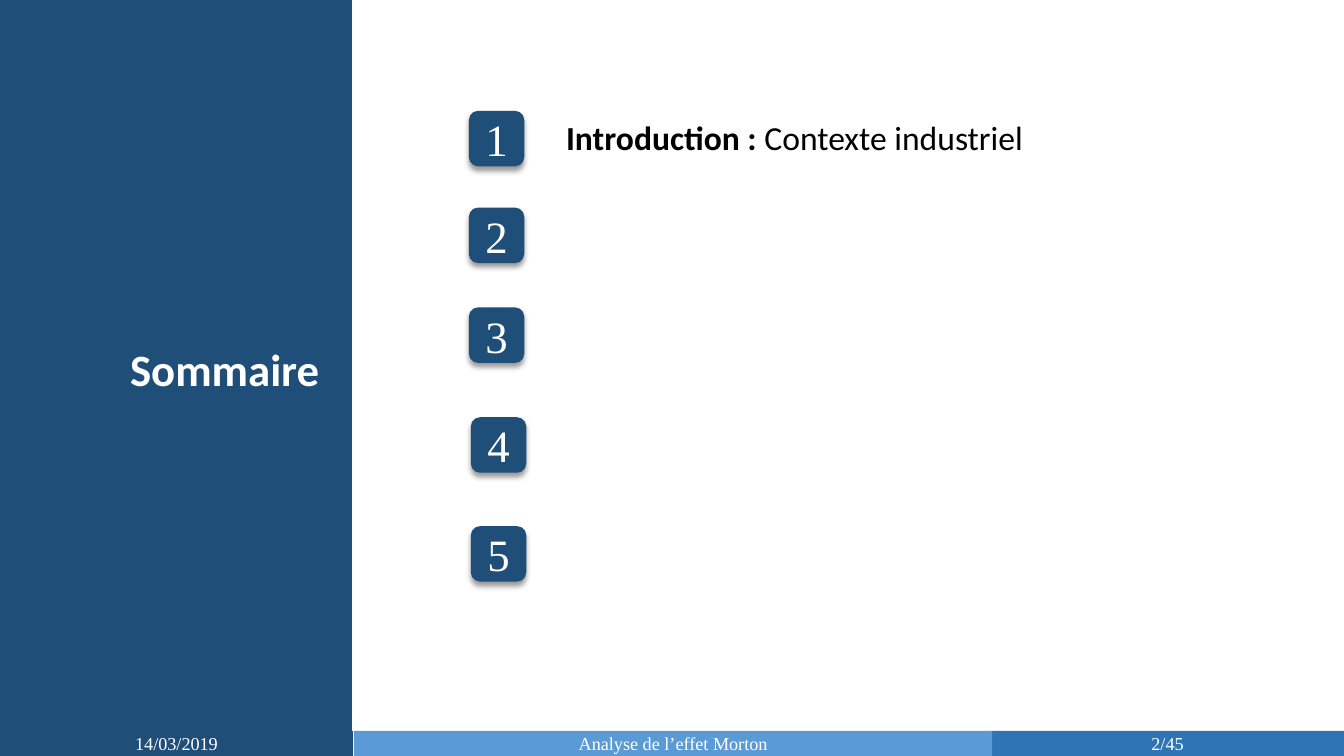
from dataclasses import dataclass

from lxml.etree import SubElement
from pptx import Presentation
from pptx.dml.color import RGBColor
from pptx.enum.shapes import MSO_SHAPE as Shape
from pptx.enum.text import MSO_ANCHOR as Anchor, MSO_AUTO_SIZE as AutoSize, PP_ALIGN as Align
from pptx.oxml.ns import qn
from pptx.util import Inches, Pt

NAVY, BLUE, SKY = "1F4E79", "2E75B6", "5B9BD5"
WHITE, BLACK = "FFFFFF", "000000"
SANS, SERIF = "Calibri", "Times New Roman"


@dataclass
class Box:
    """A rectangle in slide units."""
    left: float
    top: float
    width: float
    height: float

    def share(self, left, top, width, height):
        """Return an inner box given in percent of this one."""
        return Box(self.left + self.width * left / 100, self.top + self.height * top / 100,
                   self.width * width / 100, self.height * height / 100)

    def place(self):
        """Return the four lengths as whole units."""
        return [round(length) for length in (self.left, self.top, self.width, self.height)]


def paint(target, color):
    """Give a fill, line or font colour a hex value."""
    target.rgb = RGBColor.from_string(color)


def write(frame, runs, size, font, color):
    """Write one centred paragraph from (text, bold) runs."""
    para = frame.paragraphs[0]
    para.alignment = Align.CENTER
    for text, bold in runs:
        run = para.add_run()
        run.text = text
        run.font.size, run.font.name, run.font.bold = Pt(size), font, bold
        paint(run.font.color, color)


def add_block(page, box, kind, fill):
    """Add a plain filled shape without outline or shadow."""
    block = page.shapes.add_shape(kind, *box.place())
    block.shadow.inherit = False
    block.fill.solid()
    paint(block.fill.fore_color, fill)
    block.line.fill.background()
    block.text_frame.vertical_anchor = Anchor.MIDDLE
    return block


def add_label(page, box, runs, size, color):
    """Add an unwrapped text box that grows with its text."""
    frame = page.shapes.add_textbox(*box.place()).text_frame
    frame.word_wrap = False
    frame.auto_size = AutoSize.SHAPE_TO_FIT_TEXT
    write(frame, runs, size, SANS, color)


def drop_shadow(block):
    """Cast a soft shadow straight below a shape."""
    effects = block._element.spPr.find(qn("a:effectLst"))
    shadow = SubElement(effects, qn("a:outerShdw"), blurRad=str(Pt(4)), dist=str(Pt(3)),
                        dir="5400000", rotWithShape="0")
    color = SubElement(shadow, qn("a:srgbClr"), val=BLACK)
    SubElement(color, qn("a:alpha"), val="40000")


def add_agenda(page, box):
    """Add the numbered badges and the heading of the first section."""
    lefts = (11.79, 11.79, 11.79, 11.99, 11.99)
    tops = (15.17, 28.41, 42.07, 57.1, 72)
    for number, (left, top) in enumerate(zip(lefts, tops), start=1):
        badge = add_block(page, box.share(left, top, 5.59, 7.59), Shape.ROUNDED_RECTANGLE, NAVY)
        drop_shadow(badge)
        write(badge.text_frame, [(str(number), False)], 32, SERIF, WHITE)
    add_label(page, box.share(20.53, 15.31, 48.17, 6.9),
              [("Introduction : ", True), ("Contexte industriel", False)], 24, BLACK)


def add_sidebar(page, box):
    """Add the dark panel with the slide title."""
    panel = add_block(page, box, Shape.RECTANGLE, NAVY)
    paint(panel.line.color, NAVY)
    panel.line.width = Pt(1)
    add_label(page, box.share(32.95, 44.53, 61.89, 8.53), [("Sommaire", True)], 32, WHITE)


def add_footer(page, box):
    """Add the date, the talk title and the page number."""
    cells = ((73.74, 26.26, BLUE, "2/45"),
             (0, 26.26, NAVY, "14/03/2019"),
             (26.33, 47.49, SKY, "Analyse de l’effet Morton"))
    for left, width, fill, text in cells:
        cell = add_block(page, box.share(left, 0, width, 100), Shape.RECTANGLE, fill)
        write(cell.text_frame, [(text, False)], 13, SERIF, WHITE)


def main():
    """Build and save the deck."""
    deck = Presentation()
    deck.slide_width, deck.slide_height = Inches(13.33), Inches(7.5)
    page = deck.slides.add_slide(deck.slide_layouts[6])
    whole = Box(0, 0, deck.slide_width, deck.slide_height)
    add_agenda(page, whole.share(26.18, 0, 73.82, 96.67))
    add_sidebar(page, whole.share(0, 0, 26.18, 100))
    add_footer(page, whole.share(0, 96.67, 100, 3.33))
    deck.save("out.pptx")


if __name__ == "__main__":
    main()
